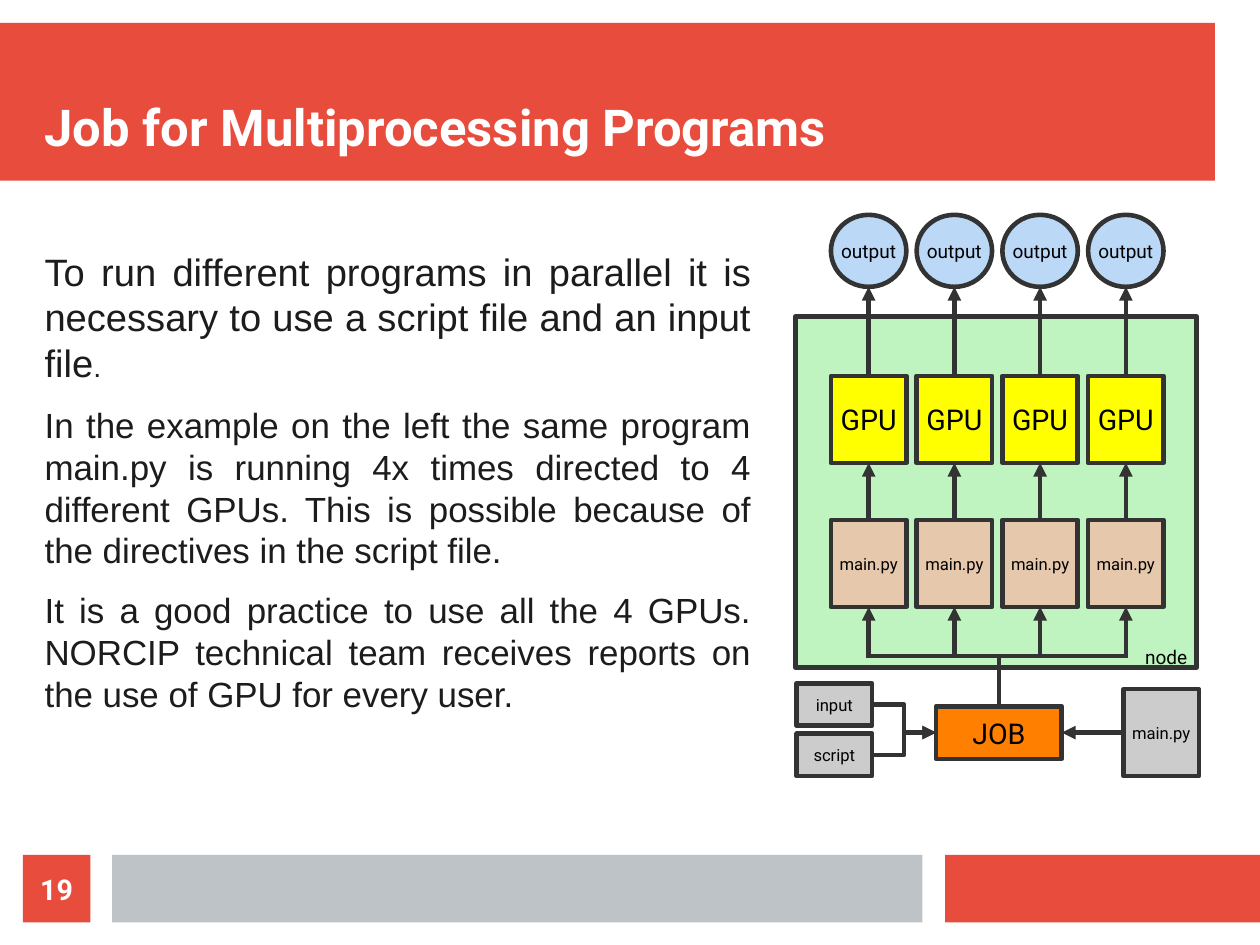
from lxml import etree
from pptx import Presentation
from pptx.dml.color import RGBColor
from pptx.enum.shapes import MSO_CONNECTOR, MSO_SHAPE
from pptx.enum.text import MSO_ANCHOR, PP_ALIGN
from pptx.oxml.ns import qn
from pptx.util import Inches, Pt

RECT, OVAL = MSO_SHAPE.RECTANGLE, MSO_SHAPE.OVAL
STRAIGHT, ELBOW = MSO_CONNECTOR.STRAIGHT, MSO_CONNECTOR.ELBOW
LEFT, CENTER, JUSTIFY = PP_ALIGN.LEFT, PP_ALIGN.CENTER, PP_ALIGN.JUSTIFY
TOP, MIDDLE, BOTTOM = MSO_ANCHOR.TOP, MSO_ANCHOR.MIDDLE, MSO_ANCHOR.BOTTOM

RED = RGBColor(0xE7, 0x4C, 0x3C)
SILVER = RGBColor(0xBD, 0xC3, 0xC7)
GREEN = RGBColor(0xBF, 0xF3, 0xBF)
TAN = RGBColor(0xE6, 0xC8, 0xAD)
YELLOW = RGBColor(0xFF, 0xFF, 0x00)
ORANGE = RGBColor(0xFF, 0x7F, 0x00)
GRAY = RGBColor(0xCC, 0xCC, 0xCC)
BLUE = RGBColor(0xBB, 0xD9, 0xF7)
OUTLINE = RGBColor(0x33, 0x33, 0x33)
INK = RGBColor(0x1C, 0x1C, 0x1C)
BLACK = RGBColor(0, 0, 0)
WHITE = RGBColor(0xFF, 0xFF, 0xFF)

prs = Presentation()
prs.slide_width, prs.slide_height = Inches(28 / 2.54), Inches(21 / 2.54)
s = prs.slides.add_slide(prs.slide_layouts[6])


def add_box(at, text="", kind=RECT, fill=None, line=None, size=10.5, font="Roboto",
            color=BLACK, bold=False, align=CENTER, anchor=MIDDLE, margin=0, wrap=False,
            after=0):
    at = [Inches(v) for v in at]
    if fill is None:
        sp = s.shapes.add_textbox(*at)
    else:
        sp = s.shapes.add_shape(kind, *at)
        sp.shadow.inherit = False
        sp.fill.solid()
        sp.fill.fore_color.rgb = fill
        if line is None:
            sp.line.fill.background()
        else:
            sp.line.color.rgb = line
            sp.line.width = Pt(2.89)
    if not text:
        return sp
    tf = sp.text_frame
    tf.word_wrap, tf.vertical_anchor = wrap, anchor
    tf.margin_left = tf.margin_right = Inches(margin)
    tf.margin_top = tf.margin_bottom = Inches(margin / 2)
    paragraphs = [[(text, size)]] if isinstance(text, str) else text
    for i, runs in enumerate(paragraphs):
        p = tf.add_paragraph() if i else tf.paragraphs[0]
        p.alignment, p.space_after = align, Pt(after)
        for run_text, run_size in runs:
            r = p.add_run()
            r.text = run_text
            r.font.name, r.font.size, r.font.bold = font, Pt(run_size), bold
            r.font.color.rgb = color
    return sp


def add_link(start, end, begin=None, finish=None, kind=STRAIGHT, arrow=True):
    c = s.shapes.add_connector(kind, *[Inches(v) for v in (*start, *end)])
    if begin:
        c.begin_connect(*begin)
    if finish:
        c.end_connect(*finish)
    c.line.color.rgb = OUTLINE
    c.line.width = Pt(2.89)
    if arrow:
        etree.SubElement(c._element.spPr.find(qn("a:ln")), qn("a:tailEnd"), type="triangle")
    etree.SubElement(c._element.spPr, qn("a:effectLst"))


add_box((0, 0.2, 10.63, 1.38), fill=RED)
add_box((8.27, 7.48, 2.76, 0.59), fill=RED)
add_box((0.98, 7.48, 7.09, 0.59), fill=SILVER)
add_box((0.2, 7.48, 0.59, 0.59), "19", fill=RED, size=18, color=WHITE, bold=True)
add_box((0.39, 0.39, 10.24, 0.98), "Job for Multiprocessing Programs", size=32,
        color=WHITE, bold=True, align=LEFT, anchor=BOTTOM, wrap=True)

body = [
    [("To run different programs in parallel it is necessary to use a script file "
      "and an input file", 24), (".", 18)],
    [("In the example on the left the same program main.py is running 4x times directed "
      "to 4 different GPUs. This is possible because of the directives in the script "
      "file.", 22)],
    [("It is a good practice to use all the 4 GPUs. NORCIP technical team receives "
      "reports on the use of GPU for every user.", 22)],
]
add_box((0.39, 2.17, 6.18, 5.12), body, font="Arial", color=INK, align=JUSTIFY,
        anchor=TOP, wrap=True, after=11.4)

add_box((6.96, 2.77, 3.51, 3.07), fill=GREEN, line=OUTLINE)
add_box((9.92, 5.6, 0.61, 0.33), "node", size=12, align=LEFT, anchor=TOP, margin=0.1)

node = dict(line=OUTLINE, margin=0.1)
job = add_box((8.19, 6.18, 1.1, 0.46), "JOB", fill=ORANGE, size=18, **node)
main_file = add_box((9.83, 6.03, 0.66, 0.76), "main.py", fill=GRAY, **node)
add_link((9.83, 6.41), (9.29, 6.41), (main_file, 1), (job, 3))

for name, y in (("input", 5.98), ("script", 6.42)):
    source = add_box((6.97, y, 0.66, 0.37), name, fill=GRAY, **node)
    add_link((7.63, y + 0.18), (8.19, 6.41), (source, 3), (job, 1), kind=ELBOW)

width, pitch, first, bus = 0.66, 0.75, 7.27, 5.74
for i in range(4):
    x = first + i * pitch
    mid = x + width / 2
    program = add_box((x, 4.55, width, 0.76), "main.py", fill=TAN, **node)
    gpu = add_box((x, 3.29, width, 0.76), "GPU", fill=YELLOW, size=18, **node)
    add_box((x, 1.88, width, 0.63), "output", kind=OVAL, fill=BLUE, size=12, **node)
    add_link((mid, bus), (mid, 5.31), finish=(program, 2))
    add_link((mid, 4.55), (mid, 4.05), (program, 0), (gpu, 2))
    add_link((mid, 3.29), (mid, 2.51), (gpu, 0))

bus_left = first + width / 2
add_link((bus_left - 0.02, bus), (bus_left + 3 * pitch + 0.02, bus), arrow=False)
add_link((8.74, 6.18), (8.74, bus), (job, 0), arrow=False)

prs.save("out.pptx")
